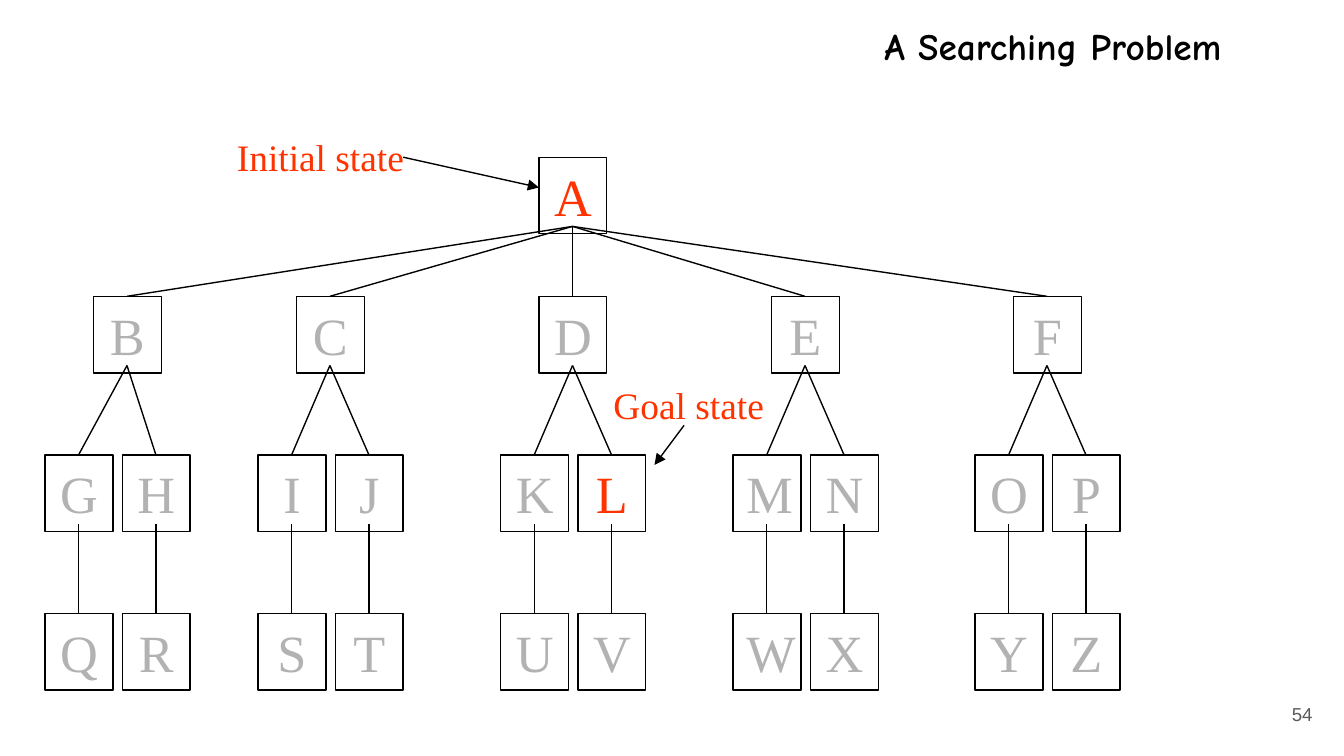
"""Build a slide that shows a searching problem as a tree of states."""
from dataclasses import dataclass

from lxml import etree
from pptx import Presentation
from pptx.dml.color import RGBColor
from pptx.enum import shapes, text
from pptx.oxml import ns
from pptx.util import Emu, Pt

SCALE = 4572
BLACK = RGBColor(0, 0, 0)
GREY = RGBColor(0xB2, 0xB2, 0xB2)
RED = RGBColor(0xFF, 0x33, 0x00)
DARK = RGBColor(0x59, 0x59, 0x59)
SERIF = "Times New Roman"
WIDE, HIGH, DROP, GAP = 101, 114, 103, 115
ROOT = 852
TOPS = (234, 441, 677, 913)
MARKED = "AL"


@dataclass
class Branch:
    name: str
    mid: int
    first: int
    kids: str
    leaves: str


@dataclass
class Style:
    font: str
    size: int
    color: RGBColor
    bold: bool = False
    align: text.PP_ALIGN = text.PP_ALIGN.CENTER
    anchor: text.MSO_ANCHOR = text.MSO_ANCHOR.TOP
    inset: int = 10
    lead: float = 0


@dataclass
class Label:
    words: str
    box: tuple[int, int, int, int]
    style: Style


BRANCHES = (
    Branch("B", 189, 117, "GH", "QR"),
    Branch("C", 491, 434, "IJ", "ST"),
    Branch("D", 852, 795, "KL", "UV"),
    Branch("E", 1198, 1141, "MN", "WX"),
    Branch("F", 1558, 1501, "OP", "YZ"),
)
STATE = Style(SERIF, 20, RED, lead=2)
PAGE = Style("Arial", 10, DARK, align=text.PP_ALIGN.RIGHT,
             anchor=text.MSO_ANCHOR.MIDDLE, inset=20)
TITLE = Style("Comic Neue", 20, BLACK, bold=True, inset=20, lead=1)
LABELS = (
    Label("Initial state", (268, 190, 418, 88), STATE),
    Label("Goal state", (888, 559, 274, 88), STATE),
    Label("54", (1853, 1020, 120, 86), PAGE),
)
ARROWS = ((600, 234, 802, 279), (1018, 633, 974, 692))


def px(*vals: int) -> list[Emu]:
    """Turn pixel lengths into EMU."""
    return [Emu(val * SCALE) for val in vals]


def write(shape, words: str, style: Style) -> None:
    """Put one styled run into a shape."""
    frame = shape.text_frame
    frame.word_wrap = True
    frame.auto_size = text.MSO_AUTO_SIZE.NONE
    frame.vertical_anchor = style.anchor
    frame.margin_left, frame.margin_right = px(20, 20)
    frame.margin_top, frame.margin_bottom = px(style.inset, style.inset)
    para = frame.paragraphs[0]
    para.alignment = style.align
    para.space_before = Pt(style.lead)
    run = para.add_run()
    run.text = words
    run.font.name = style.font
    run.font.size = Pt(style.size)
    run.font.bold = style.bold
    run.font.color.rgb = style.color


def node(slide, name: str, mid: int, top: int) -> None:
    """Draw one state as a lettered box."""
    box = slide.shapes.add_shape(
        shapes.MSO_SHAPE.RECTANGLE, *px(mid - WIDE // 2, top, WIDE, HIGH))
    box.shadow.inherit = False
    box.fill.background()
    box.line.color.rgb = BLACK
    box.line.width = Pt(0.75)
    color = RED if name in MARKED else GREY
    write(box, name, Style(SERIF, 28, color, lead=3))


def link(slide, ends: tuple[int, int, int, int], arrow: bool = False) -> None:
    """Draw a straight line, with an arrowhead at its end if wanted."""
    line = slide.shapes.add_connector(
        shapes.MSO_CONNECTOR.STRAIGHT, *px(*ends))
    line.line.color.rgb = BLACK
    line.line.width = Pt(0.75)
    if arrow:
        etree.SubElement(line.line._get_or_add_ln(),
                         ns.qn("a:tailEnd"), type="triangle")
    etree.SubElement(line._element.spPr, ns.qn("a:effectLst"))


def edge(slide, start: int, end: int, level: int) -> None:
    """Join a state on one level to a state on the next."""
    link(slide, (start, TOPS[level] + DROP, end, TOPS[level + 1]))


def tree(slide) -> None:
    """Draw all states and the edges between them."""
    node(slide, "A", ROOT, TOPS[0])
    for branch in BRANCHES:
        node(slide, branch.name, branch.mid, TOPS[1])
        edge(slide, ROOT, branch.mid, 0)
        for i, (kid, leaf) in enumerate(zip(branch.kids, branch.leaves)):
            mid = branch.first + i * GAP
            node(slide, kid, mid, TOPS[2])
            node(slide, leaf, mid, TOPS[3])
            edge(slide, branch.mid, mid, 1)
            edge(slide, mid, mid, 2)


def main() -> None:
    """Build and save the slide."""
    deck = Presentation()
    deck.slide_width, deck.slide_height = px(2000, 1125)
    slide = deck.slides.add_slide(deck.slide_layouts.get_by_name("Title Only"))
    title = slide.shapes.title
    title.left, title.top, title.width, title.height = px(1164, 14, 806, 126)
    write(title, "A Searching Problem", TITLE)
    tree(slide)
    for label in LABELS:
        write(slide.shapes.add_textbox(*px(*label.box)),
              label.words, label.style)
    for ends in ARROWS:
        link(slide, ends, arrow=True)
    deck.save("out.pptx")


if __name__ == "__main__":
    main()
